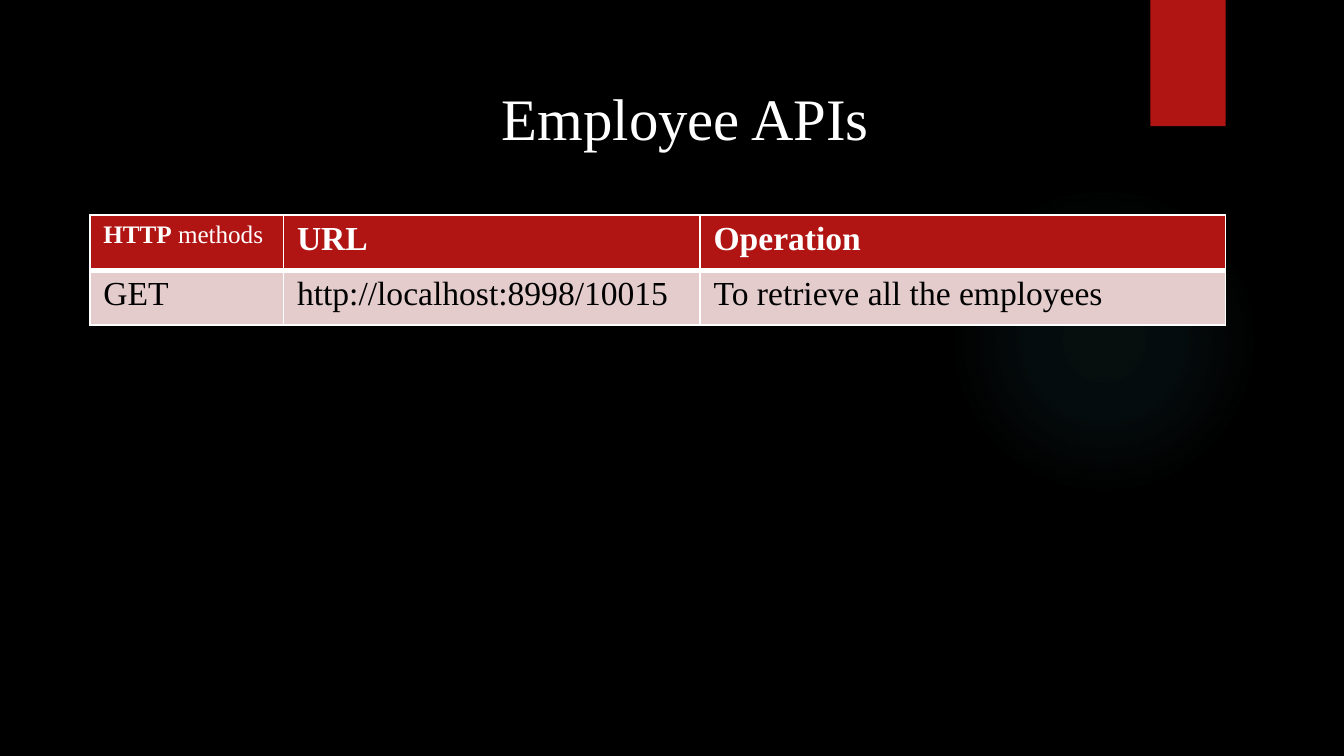
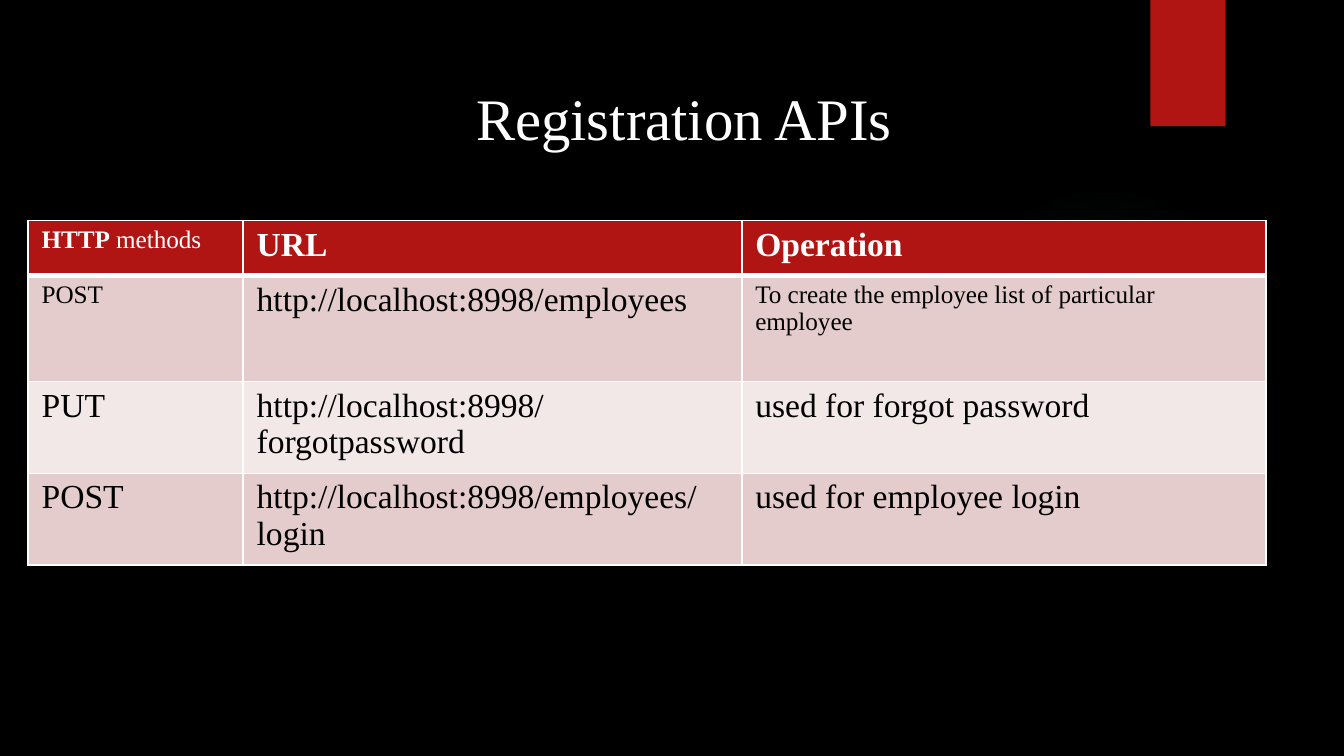
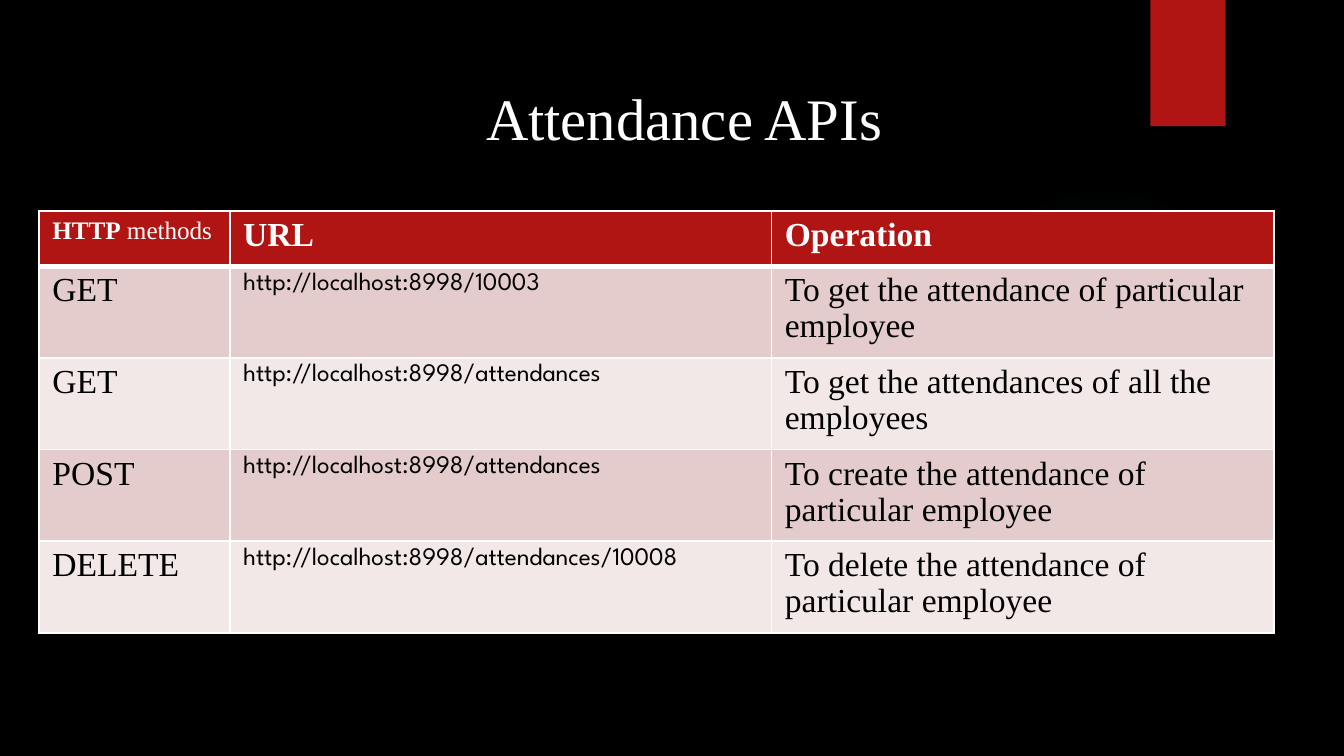
from dataclasses import dataclass

from lxml import etree
from pptx import Presentation
from pptx import util as u
from pptx.dml.color import RGBColor
from pptx.enum import shapes, text
from pptx.oxml import ns

BLACK = RGBColor(0x00, 0x00, 0x00)
WHITE = RGBColor(0xFF, 0xFF, 0xFF)
RED = RGBColor(0xB0, 0x15, 0x13)
TEAL = RGBColor(0x50, 0xB9, 0xC1)
ROSE = RGBColor(0xE4, 0xCC, 0xCC)
PALE = RGBColor(0xF2, 0xE8, 0xE7)

SERIF = "Times New Roman"
SANS = "League Spartan"
BODY_SIZE = 18
SMALL_SIZE = 13.5
TITLE_SIZE = 31.5
GRID_UNIT = 0.1
ROW_HEIGHT = 4.1
LINE_SPACING = 0.97


@dataclass
class Run:
    content: str
    size: float = BODY_SIZE
    font: str = SERIF
    bold: bool = False


def small(content, font=SERIF, bold=False):
    return Run(content, SMALL_SIZE, font, bold)


HEADER = [
    [small("HTTP", bold=True), small(" methods")],
    [Run("URL", bold=True)],
    [Run("Operation", bold=True)],
]


def grid(units):
    return u.Inches(units * GRID_UNIT)


def add_element(parent, tag, **attributes):
    element = etree.SubElement(parent, ns.qn(tag))
    for name, value in attributes.items():
        element.set(name, str(value))
    return element


class Deck:
    def __init__(self):
        self.presentation = Presentation()
        self.presentation.slide_width = grid(100)
        self.presentation.slide_height = grid(56.25)
        self.slide = None

    def start_slide(self, title, title_left):
        self.slide = self.presentation.slides.add_slide(self.presentation.slide_layouts[6])
        background = self.slide.background.fill
        background.solid()
        background.fore_color.rgb = BLACK
        self.glow()
        self.ribbon()
        self.title(title, title_left)

    def plain_shape(self, kind, left, top, width, height):
        shape = self.slide.shapes.add_shape(
            kind, grid(left), grid(top), grid(width), grid(height))
        shape.shadow.inherit = False
        shape.line.fill.background()
        return shape

    def glow(self):
        shape = self.plain_shape(shapes.MSO_SHAPE.OVAL, 70.6, 13.8, 23.1, 23.1)
        gradient = etree.Element(ns.qn("a:gradFill"))
        stops = add_element(gradient, "a:gsLst")
        for position, opacity in ((0, 7), (36, 6), (69, 0)):
            stop = add_element(stops, "a:gs", pos=position * 1000)
            color = add_element(stop, "a:srgbClr", val=TEAL)
            add_element(color, "a:alpha", val=opacity * 1000)
        circle = add_element(gradient, "a:path", path="circle")
        add_element(circle, "a:fillToRect", l=50000, t=50000, r=50000, b=50000)
        shape._element.spPr.find(ns.qn("a:prstGeom")).addnext(gradient)

    def ribbon(self):
        shape = self.plain_shape(shapes.MSO_SHAPE.RECTANGLE, 85.6, 0, 5.6, 9.4)
        shape.fill.solid()
        shape.fill.fore_color.rgb = RED

    def title(self, content, left):
        shape = self.slide.shapes.add_textbox(grid(left), grid(4.6), grid(88.6), grid(6.3))
        frame = shape.text_frame
        frame.word_wrap = True
        frame.vertical_anchor = text.MSO_ANCHOR.TOP
        frame.margin_left = frame.margin_right = frame.margin_bottom = grid(1)
        frame.margin_top = grid(1.5)
        paragraph = frame.paragraphs[0]
        paragraph.alignment = text.PP_ALIGN.CENTER
        self.add_runs(paragraph, [Run(content, TITLE_SIZE)], WHITE)

    def add_runs(self, paragraph, runs, color):
        for item in runs:
            run = paragraph.add_run()
            run.text = item.content
            run.font.size = u.Pt(item.size)
            run.font.name = item.font
            run.font.bold = item.bold
            run.font.color.rgb = color

    def border(self, cell, side, points):
        properties = cell._tc.get_or_add_tcPr()
        line = add_element(properties, f"a:ln{side}", w=u.Pt(points))
        fill = add_element(line, "a:solidFill")
        add_element(fill, "a:srgbClr", val=WHITE)

    def cell(self, cell, runs, row):
        for side in "LRTB":
            beside_header = (row, side) in ((0, "B"), (1, "T"))
            self.border(cell, side, 3 if beside_header else 1)
        cell.fill.solid()
        cell.fill.fore_color.rgb = RED if row == 0 else (PALE, ROSE)[row % 2]
        paragraph = cell.text_frame.paragraphs[0]
        paragraph.line_spacing = LINE_SPACING
        self.add_runs(paragraph, runs, WHITE if row == 0 else BLACK)

    def api_table(self, left, top, widths, body, tall_rows=None):
        rows = [HEADER] + [[[run] for run in line] for line in body]
        heights = [(tall_rows or {}).get(row, ROW_HEIGHT) for row in range(len(rows))]
        table = self.slide.shapes.add_table(
            len(rows), len(widths), grid(left), grid(top),
            grid(sum(widths)), grid(sum(heights))).table
        for column, width in zip(table.columns, widths):
            column.width = grid(width)
        for row, (runs_by_cell, height) in enumerate(zip(rows, heights)):
            table.rows[row].height = grid(height)
            for column, runs in enumerate(runs_by_cell):
                self.cell(table.cell(row, column), runs, row)


def main():
    deck = Deck()

    deck.start_slide("Employee APIs", 6.7)
    deck.api_table(6.7, 16, (14.4, 31, 39.1), [
        (Run("GET"), Run("http://localhost:8998/10015"), Run("To retrieve all the employees")),
    ])

    deck.start_slide("Registration APIs", 6.6)
    deck.api_table(2.1, 16.4, (16, 37.1, 39), [
        (small("POST"), Run("http://localhost:8998/employees"),
         small("To create the employee list of particular employee")),
        (Run("PUT"), Run("http://localhost:8998/forgotpassword"),
         Run("used for forgot password")),
        (Run("POST"), Run("http://localhost:8998/employees/login"),
         Run("used for employee login")),
    ], tall_rows={1: 7.9})

    deck.start_slide("Attendance APIs", 6.6)
    attendance_calls = (
        ("GET", "10003", "To get the attendance of particular employee"),
        ("GET", "attendances", "To get the attendances of all the employees"),
        ("POST", "attendances", "To create the attendance of particular employee"),
        ("DELETE", "attendances/10008", "To delete the attendance of particular employee"),
    )
    deck.api_table(2.9, 15.7, (14.2, 40.3, 37.4), [
        (Run(method), small(f"http://localhost:8998/{resource}", SANS), Run(operation))
        for method, resource, operation in attendance_calls
    ])

    deck.presentation.save("out.pptx")


if __name__ == "__main__":
    main()
